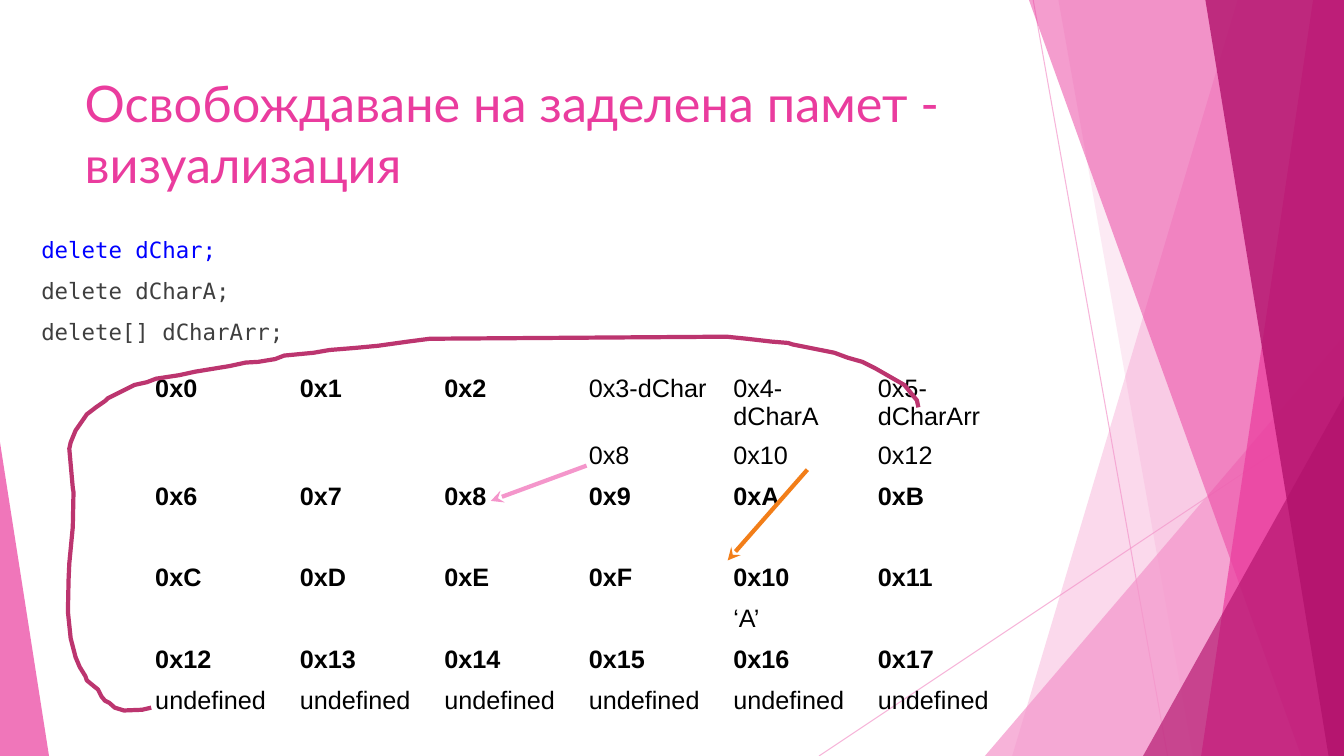
from lxml.etree import SubElement
from pptx import Presentation
from pptx.dml.color import RGBColor
from pptx.enum.shapes import MSO_CONNECTOR, MSO_SHAPE
from pptx.enum.text import MSO_ANCHOR, MSO_AUTO_SIZE, PP_ALIGN
from pptx.oxml.ns import qn
from pptx.util import Pt

STRAIGHT = MSO_CONNECTOR.STRAIGHT
TRIANGLE = MSO_SHAPE.ISOSCELES_TRIANGLE
TOP = MSO_ANCHOR.TOP
NO_FIT = MSO_AUTO_SIZE.NONE
LEFT = PP_ALIGN.LEFT

PALE_PINK = RGBColor(0xF4, 0x96, 0xCB)
PINK = RGBColor(0xEA, 0x3C, 0x9E)
MAGENTA = RGBColor(0xB2, 0x12, 0x6C)
RASPBERRY = RGBColor(0xBC, 0x35, 0x6F)
ORANGE = RGBColor(0xF2, 0x7E, 0x19)
BLUE = RGBColor(0x00, 0x00, 0xFF)
GREY = RGBColor(0x3F, 0x3F, 0x3F)
BLACK = RGBColor(0x00, 0x00, 0x00)

WIDTH, HEIGHT = 960, 540
COLUMNS = 6
CELLS = 24
PLAIN_TABLE_STYLE = "{2D5ABB26-0587-4C30-8999-92F81FD0307C}"

POINTERS = {3: "dChar", 4: "dCharA", 5: "dCharArr"}
CONTENTS = {3: "0x8", 4: "0x10", 5: "0x12", 16: "‘A’"}
CONTENTS.update(dict.fromkeys(range(18, CELLS), "undefined"))

ARRAY_PATH = [
    (656, 291), (655, 286), (646, 275), (625, 263), (616, 258.5), (605.5, 255.5),
    (596, 252), (566, 246), (563, 245), (551, 244), (533.5, 242), (519, 240.5),
    (307, 242), (291.5, 244), (270, 247), (254, 248.5), (235.5, 250), (224, 252),
    (203, 254), (196.5, 256.5), (184.5, 258.5), (175.5, 259), (164, 261.5),
    (139.5, 265.5), (128, 268), (111.5, 270.5), (105, 273), (96, 275), (89, 278.5),
    (83, 281.5), (77, 284.5), (75, 286.5), (68.5, 291), (62, 296), (54, 307.5),
    (50.5, 316), (49.5, 320.5), (52, 348.5), (52.5, 351.5), (52, 376.5),
    (49.5, 402.5), (49, 414), (48.5, 437), (50.5, 456), (54, 469.5), (57, 476.5),
    (61, 483), (62, 486), (67.5, 490.5), (70, 492.5), (72.5, 497.5), (75, 500.5),
    (78, 502), (82, 505.5), (88.5, 507.5), (101.5, 507), (108, 505.5),
]


class MemorySlide:
    heading_font, code_font, table_font = "Lato", "DejaVu Sans Mono", "Arial"

    def __init__(self, slide):
        self.slide = slide
        self.shapes = slide.shapes

    def fade(self, fill, opacity):
        color = fill.find(".//" + qn("a:srgbClr"))
        SubElement(color, qn("a:alpha"), val=str(opacity * 1000))

    def paint(self, shape, color, opacity):
        shape.shadow.inherit = False
        shape.fill.solid()
        shape.fill.fore_color.rgb = color
        self.fade(shape._element.spPr.find(qn("a:solidFill")), opacity)
        shape.line.fill.background()

    def outline(self, points, close):
        start, *rest = [(Pt(x), Pt(y)) for x, y in points]
        builder = self.shapes.build_freeform(*start)
        builder.add_line_segments(rest, close=close)
        return builder.convert_to_shape()

    def panel(self, top_x, bottom_x, color, opacity):
        corners = [(top_x, 0), (WIDTH, 0), (WIDTH, HEIGHT), (bottom_x, HEIGHT)]
        self.paint(self.outline(corners, True), color, opacity)

    def triangle(self, left, top, width, apex, color, opacity):
        shape = self.shapes.add_shape(
            TRIANGLE, Pt(left), Pt(top), Pt(width), Pt(HEIGHT - top))
        shape.adjustments[0] = apex
        self.paint(shape, color, opacity)

    def line(self, start, end, color, width):
        connector = self.shapes.add_connector(STRAIGHT, *map(Pt, start + end))
        connector.line.color.rgb = color
        connector.line.width = Pt(width)
        SubElement(connector._element.spPr, qn("a:effectLst"))
        return connector.line._get_or_add_ln()

    def thin_line(self, start, end):
        self.fade(self.line(start, end, PALE_PINK, 0.75), 70)

    def arrow(self, start, end, color):
        SubElement(self.line(start, end, color, 3), qn("a:tailEnd"), type="stealth")

    def curve(self, points, color):
        shape = self.outline(points, False)
        shape.shadow.inherit = False
        shape.fill.background()
        shape.line.color.rgb = color
        shape.line.width = Pt(3)

    def style(self, paragraph, font, size, color, bold=False):
        paragraph.alignment = LEFT
        for run in paragraph.runs:
            run.font.name = font
            run.font.size = Pt(size)
            run.font.color.rgb = color
            run.font.bold = bold

    def place(self, holder, left, top, width, height, text):
        self.shapes._spTree.append(holder._element)
        holder.left, holder.top = Pt(left), Pt(top)
        holder.width, holder.height = Pt(width), Pt(height)
        frame = holder.text_frame
        frame.text = text
        frame.word_wrap = True
        frame.auto_size = NO_FIT
        frame.vertical_anchor = TOP
        return frame.paragraphs

    def title(self, text, *box):
        for paragraph in self.place(self.shapes.title, *box, text):
            self.style(paragraph, self.heading_font, 36, PINK)

    def code(self, lines, *box):
        body = self.slide.placeholders[1]
        for index, paragraph in enumerate(self.place(body, *box, "\n".join(lines))):
            paragraph.level = 1
            paragraph.space_before = Pt(10 if index else 0)
            self.style(paragraph, self.code_font, 16, GREY if index else BLUE)
            properties = paragraph._p.get_or_add_pPr()
            properties.set("marL", str(Pt(36)))
            properties.set("indent", "0")
            SubElement(properties, qn("a:buNone"))

    def memory_table(self, left, top, column_width, last_width, row_height):
        rows = CELLS // COLUMNS * 2
        width = column_width * (COLUMNS - 1) + last_width
        table = self.shapes.add_table(
            rows, COLUMNS, Pt(left), Pt(top), Pt(width), Pt(row_height * rows)).table
        table.first_row = table.horz_banding = False
        table._tbl.tblPr.find(qn("a:tableStyleId")).text = PLAIN_TABLE_STYLE
        for column in table.columns:
            column.width = Pt(column_width)
        table.columns[COLUMNS - 1].width = Pt(last_width)
        for row in table.rows:
            row.height = Pt(row_height)
        for address in range(CELLS):
            row, column = divmod(address, COLUMNS)
            pointer = POINTERS.get(address)
            label = f"0x{address:X}" + (f"-{pointer}" if pointer else "")
            self.cell(table.cell(row * 2, column), label, not pointer)
            self.cell(table.cell(row * 2 + 1, column), CONTENTS.get(address, ""), False)

    def cell(self, cell, text, bold):
        cell.fill.background()
        cell.text = text
        self.style(cell.text_frame.paragraphs[0], self.table_font, 18, BLACK, bold)


def main():
    deck = Presentation()
    deck.slide_width, deck.slide_height = Pt(WIDTH), Pt(HEIGHT)
    page = MemorySlide(deck.slides.add_slide(deck.slide_layouts[1]))

    page.thin_line((738, 0), (834, HEIGHT))
    page.thin_line((WIDTH, 290), (585, HEIGHT))
    page.panel(884, 723, PALE_PINK, 36)
    page.panel(756, 852, PALE_PINK, 20)
    page.triangle(703.5, 240, 256.5, 1, PALE_PINK, 72)
    page.panel(735, 929.5, PINK, 50)
    page.panel(938, 858, PINK, 70)
    page.panel(861, 949, MAGENTA, 80)
    page.triangle(816.5, 283, 143.5, 1, MAGENTA, 66)
    page.triangle(0, 316, 35, 0, PINK, 70)

    page.title("Освобождаване на заделена памет - визуализация", 53.3, 48.2, 676.8, 103.7)
    page.code(["delete dChar;", "delete dCharA;", "delete[] dCharArr;"],
              -13.7, 165, 931, 419)
    page.memory_table(103.7, 264.2, 103.25, 114.5, 29.2)
    page.arrow((419, 332.6), (350.6, 357.8), PALE_PINK)
    page.arrow((576.7, 335.5), (519.8, 400.3), ORANGE)
    page.curve(ARRAY_PATH, RASPBERRY)

    deck.save("out.pptx")


if __name__ == "__main__":
    main()
